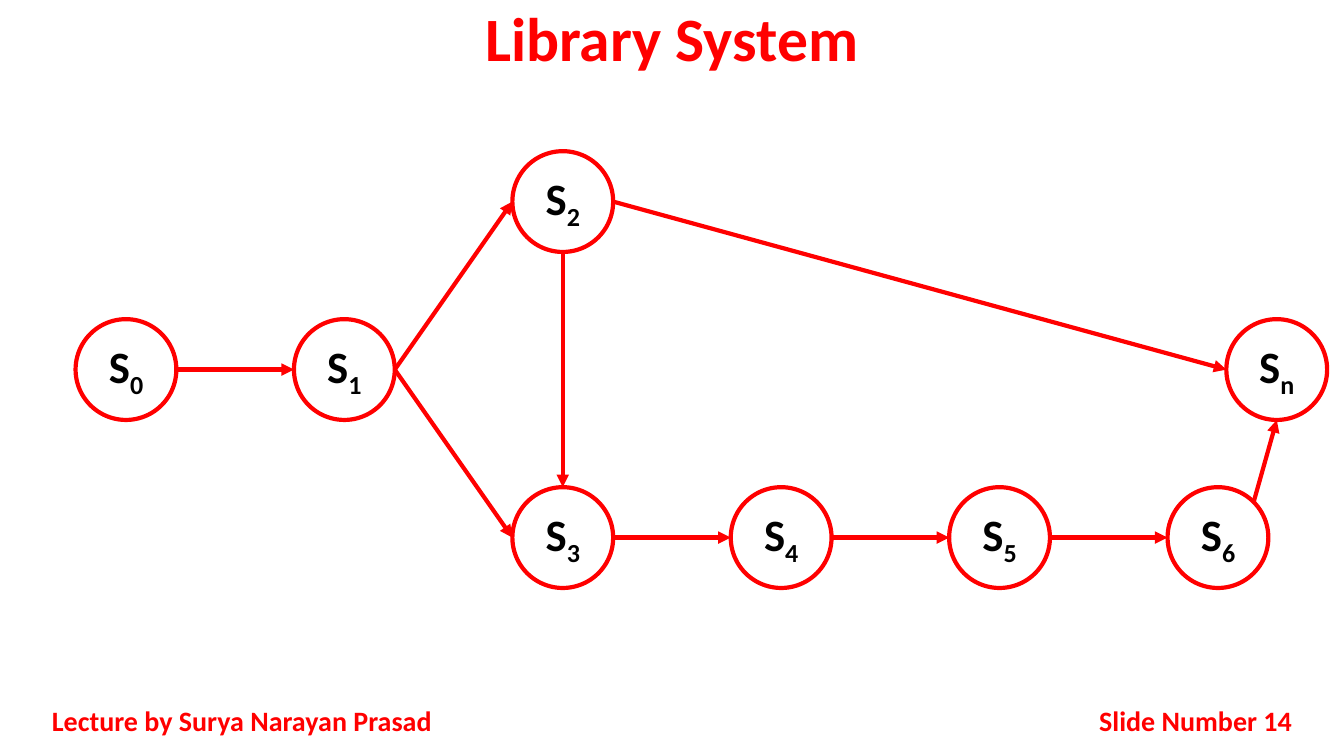
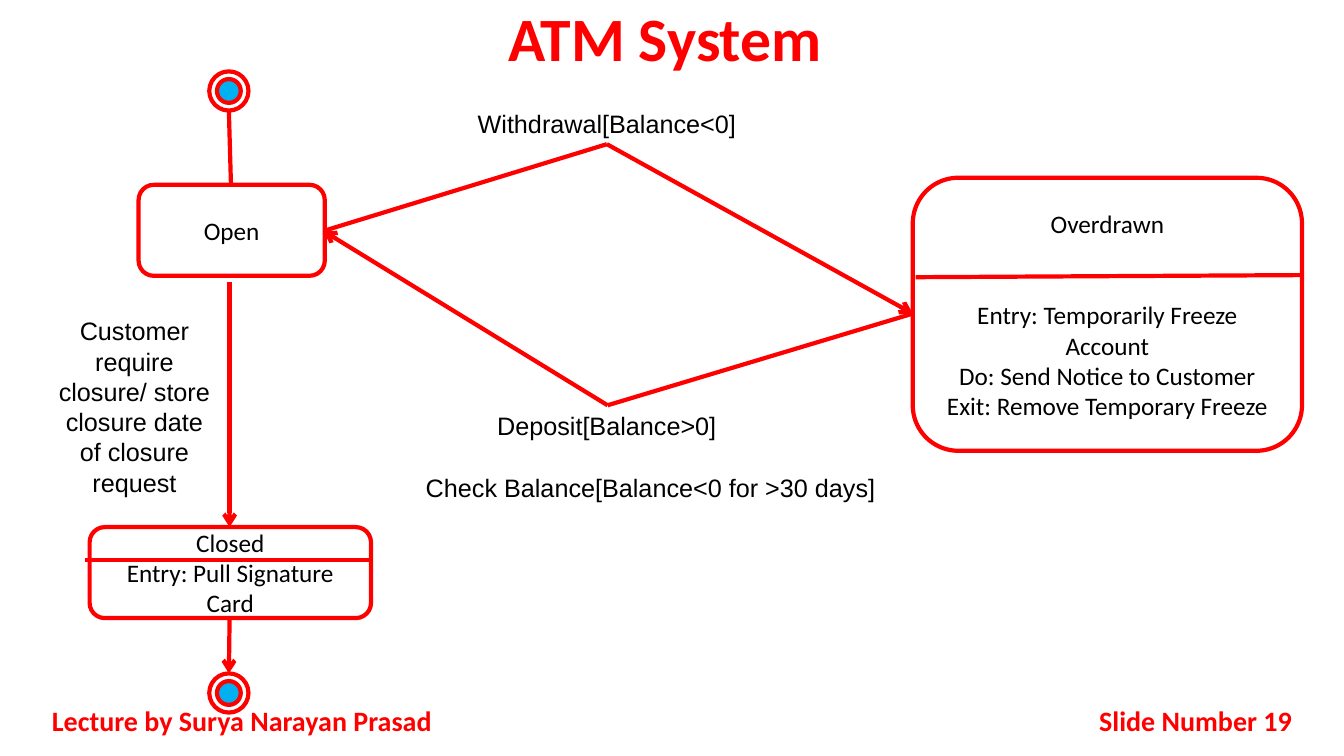
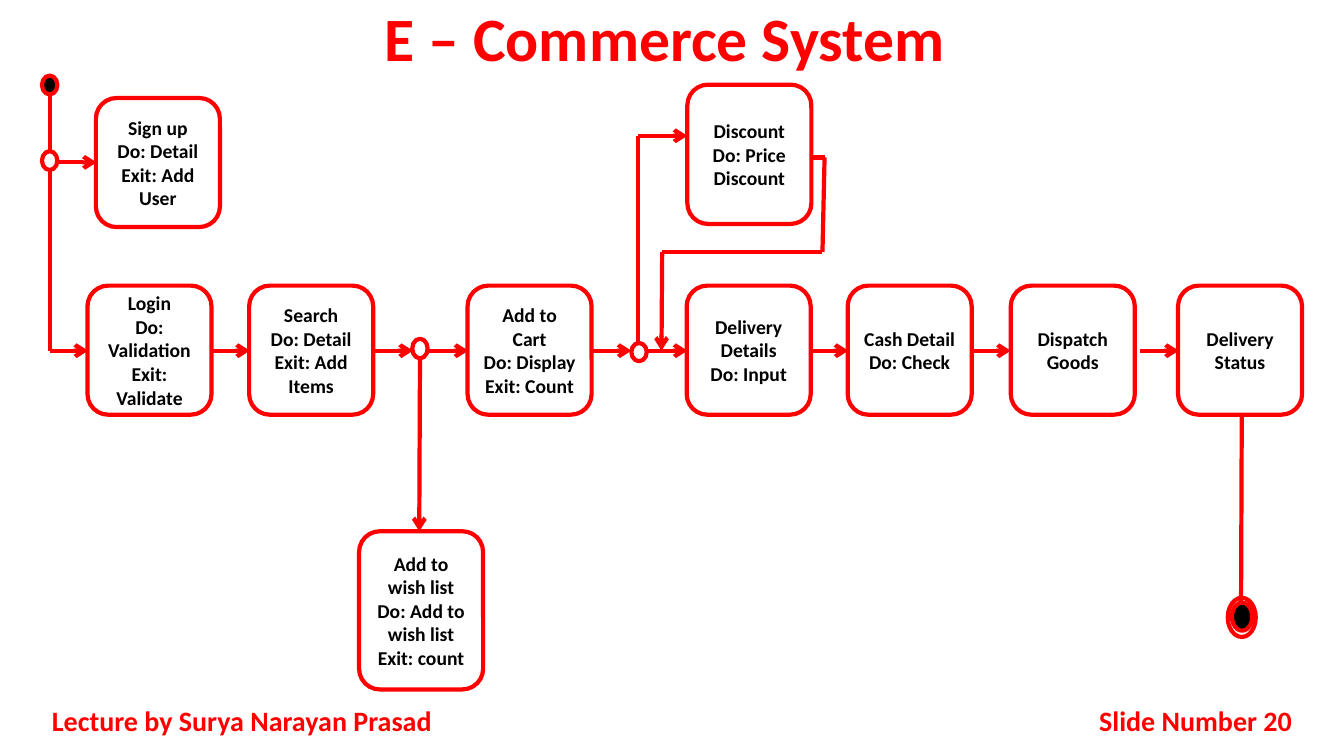
from pptx import Presentation
from pptx.util import Pt
from pptx.dml.color import RGBColor
from pptx.enum.shapes import MSO_CONNECTOR as Link, MSO_SHAPE as Outline
from pptx.enum.text import MSO_ANCHOR as Anchor, PP_ALIGN as Align
from pptx.oxml.ns import qn
from lxml.etree import SubElement

RED, BLACK, BLUE = "FF0000", "000000", "00B0F0"
color = RGBColor.from_string


def put(slide, box, lines=(), outline=None, fill=None, size=18, font="Calibri",
        bold=False, ink=BLACK, align=Align.CENTER, anchor=Anchor.MIDDLE):
    """Add a red-edged shape, or a text box without an outline; "_" starts a subscript."""
    box = [Pt(v) for v in box]
    if outline is None:
        item = slide.shapes.add_textbox(*box)
    else:
        item = slide.shapes.add_shape(outline, *box)
        item.shadow.inherit = False
        item.line.color.rgb = color(RED)
        item.line.width = Pt(3)
        if fill:
            item.fill.solid()
            item.fill.fore_color.rgb = color(fill)
        else:
            item.fill.background()
    frame = item.text_frame
    frame.word_wrap = True
    frame.vertical_anchor = anchor
    for i, line in enumerate(lines):
        para = frame.add_paragraph() if i else frame.paragraphs[0]
        para.alignment = align
        for j, part in enumerate(line.split("_")):
            run = para.add_run()
            run.text = part
            run.font.name, run.font.size, run.font.bold = font, Pt(size), bold
            run.font.color.rgb = color(ink)
            if j:
                run._r.get_or_add_rPr().set("baseline", "-25000")
    return item


def route(slide, points, head=None):
    """Join the points with red lines; the last one may end in an arrowhead."""
    for i, (start, end) in enumerate(zip(points, points[1:]), 2):
        line = slide.shapes.add_connector(Link.STRAIGHT, *[Pt(v) for v in start + end])
        line.line.color.rgb = color(RED)
        line.line.width = Pt(3)
        if head and i == len(points):
            SubElement(line.line._get_or_add_ln(), qn("a:tailEnd"), type=head)
        SubElement(line._element.spPr, qn("a:effectLst"))


deck = Presentation()
deck.slide_width, deck.slide_height = Pt(960), Pt(540)

# Titles and footers
slides = []
for heading, number in [("Library System", 14), ("ATM System ", 19),
                        ("E – Commerce System ", 20)]:
    slide = deck.slides.add_slide(deck.slide_layouts[5])
    title = slide.shapes.title
    title.left, title.top, title.width, title.height = Pt(0), Pt(0), Pt(960), Pt(60)
    title.text_frame.vertical_anchor = Anchor.MIDDLE
    para = title.text_frame.paragraphs[0]
    para.alignment, para.line_spacing = Align.CENTER, 0.9
    run = para.add_run()
    run.text = heading
    run.font.name, run.font.size, run.font.bold = "Calibri", Pt(44), True
    run.font.color.rgb = color(RED)
    for text, left, width, align in [
            ("Lecture by Surya Narayan Prasad", 30, 300, Align.JUSTIFY),
            (f"Slide Number {number}", 732, 198, Align.RIGHT)]:
        put(slide, (left, 500, width, 29), [text], size=20, bold=True, ink=RED, align=align)
    slides.append(slide)
library, atm, shop = slides

# Library: states on a 156 pt pitch, listed by centre
R = 36
states = {"0": (90, 264), "1": (246, 264), "2": (402, 144), "3": (402, 384),
          "4": (558, 384), "5": (714, 384), "6": (870, 384), "n": (912, 264)}
for name, (x, y) in states.items():
    put(library, (x - R, y - R, 2 * R, 2 * R), [f"S_{name}"], Outline.OVAL,
        size=32, bold=True)

# Library: transitions between edge points of the circles
edge = {"left": (-R, 0), "right": (R, 0), "top": (0, -R), "bottom": (0, R),
        "corner": (25.5, -25.5)}
for source, leave, target, enter in [
        ("0", "right", "1", "left"), ("1", "right", "2", "left"),
        ("1", "right", "3", "left"), ("2", "right", "n", "left"),
        ("2", "bottom", "3", "top"), ("3", "right", "4", "left"),
        ("4", "right", "5", "left"), ("5", "right", "6", "left"),
        ("6", "corner", "n", "bottom")]:
    ends = [tuple(c + d for c, d in zip(states[name], edge[side]))
            for name, side in [(source, leave), (target, enter)]]
    route(library, ends, "triangle")

# ATM: states
put(atm, (99, 132, 133, 65), ["Open"], Outline.ROUNDED_RECTANGLE)
put(atm, (64, 376.5, 201, 65), ["Closed", "Entry: Pull Signature Card"],
    Outline.ROUNDED_RECTANGLE)
overdrawn = put(atm, (652, 127, 278, 195),
                ["Overdrawn", "Entry: Temporarily Freeze Account",
                 "Do: Send Notice to Customer", "Exit: Remove Temporary Freeze"],
                Outline.ROUNDED_RECTANGLE)
overdrawn.text_frame.paragraphs[1].space_before = Pt(44)
route(atm, [(265, 400), (61, 400)])
route(atm, [(930, 196.5), (654, 198)])

# ATM: start and end markers
for y in (65, 495):
    for d, fill in [(28, None), (17, BLUE)]:
        put(atm, (163.5 - d / 2, y - d / 2, d, d), outline=Outline.OVAL, fill=fill)

# ATM: transitions
route(atm, [(163.5, 79), (165, 132)])
for points in [[(231, 165), (433.5, 103), (652, 224)],
               [(652, 224), (434, 289.5), (231, 165)],
               [(164, 201.5), (164, 376.5)],
               [(164, 442), (163.5, 481)]]:
    route(atm, points, "arrow")

# ATM: transition labels
for text, box, align in [
        ("Customer require closure/ store closure date of closure request",
         (30, 222, 132, 138), Align.CENTER),
        ("Withdrawal[Balance<0]", (324, 74, 219, 29), Align.CENTER),
        ("Deposit[Balance>0]", (348, 289.5, 171, 29), Align.LEFT),
        ("Check Balance[Balance<0 for >30 days]", (297, 334, 459, 25), Align.LEFT)]:
    put(atm, box, [text], font="Arial", align=align, anchor=Anchor.TOP)

# Shop: steps
W, H, ROW = 88.6, 92.2, 204
for lines, x, y, height in [
        (["Sign up", "Do: Detail", "Exit: Add User"], 68.5, 70, H),
        (["Discount", "Do: Price Discount"], 491, 60.5, 99.5),
        (["Login", "Do: Validation", "Exit: Validate"], 62.5, ROW, H),
        (["Search", "Do: Detail", "Exit: Add Items"], 178, ROW, H),
        (["Add to Cart", "Do: Display", "Exit: Count"], 334, ROW, H),
        (["Delivery Details", "Do: Input"], 490.5, ROW, H),
        (["Cash Detail", "Do: Check"], 605.5, ROW, H),
        (["Dispatch Goods"], 722, ROW, H),
        (["Delivery Status"], 841.5, ROW, H),
        (["Add to wish list", "Do: Add to wish list", "Exit: count"], 256.5, 379.5, 113)]:
    put(shop, (x, y, W, height), lines, Outline.ROUNDED_RECTANGLE, size=14, bold=True)

# Shop: arrows along the main row
MID = 250.5
for start, end in [(150.5, 178.5), (267, 295), (306, 334.5), (423, 451),
                   (462.5, 491), (578, 606), (694, 722), (814, 842)]:
    route(shop, [(start, MID), (end, MID)], "arrow")

# Shop: branches off the main row
for points, head in [
        ([(35.5, 67.5), (35.5, 108)], None),
        ([(35.5, 121.5), (35.5, MID), (63, MID)], "arrow"),
        ([(40.5, 116), (69, 116)], "arrow"),
        ([(456, 245), (456, 97), (491, 97)], "arrow"),
        ([(579, 112.5), (589, 112.5), (587.5, 180), (473, 180), (472.5, MID)], "arrow"),
        ([(300, 256.5), (299.5, 379.5)], "arrow"),
        ([(887, 296), (886.5, 430.5)], None)]:
    route(shop, points, head)

# Shop: start, junctions and end
for box, fill in [((30, 54, 11, 13.5), BLACK), ((30, 108, 11, 13.5), None),
                  ((294.5, 242, 11, 14), None), ((451, 245, 11, 13), None),
                  ((877, 427, 20, 28), None), ((880, 430.5, 14.5, 20), BLACK)]:
    put(shop, box, outline=Outline.OVAL, fill=fill)

deck.save("out.pptx")
